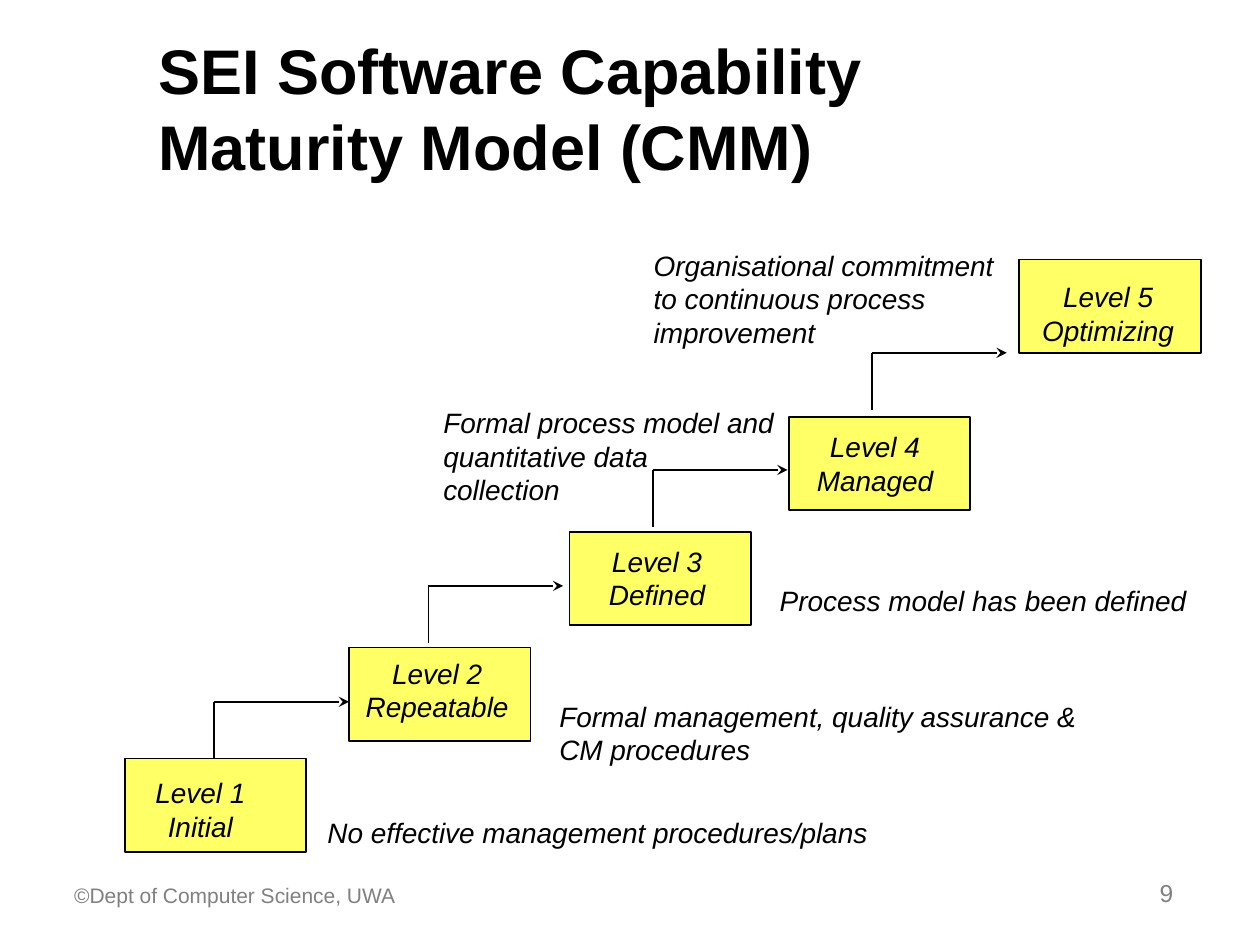
import pptx
import pptx.util
import pptx.dml.color
import pptx.enum.shapes
import pptx.enum.text
import pptx.oxml
import pptx.oxml.ns

TITLE = "SEI Software Capability Maturity Model (CMM)"
FOOT = "©Dept of Computer Science, UWA"
PAGE = "9"
# box left, box top, label (left, top, width), name
LEVELS = [
    (99, 602, (113, 611, 92), "Initial"),
    (277, 514, (280, 516, 134), "Repeatable"),
    (452, 422, (473, 427, 97), "Defined"),
    (626, 331, (638, 336, 113), "Managed"),
    (809, 206, (817, 217, 125), "Optimizing"),
]
NOTES = [
    ((250, 642, 449, 37), ["No effective management procedures/plans"]),
    ((434, 550, 431, 63), ["Formal management, quality assurance &", "CM procedures"]),
    ((609, 458, 343, 37), ["Process model has been defined"]),
    ((342, 317, 283, 90), ["Formal process model and", "quantitative data", "collection"]),
    ((509, 192, 290, 90), ["Organisational commitment", "to continuous process", "improvement"]),
]
STEPS = [(170, 602), (340, 510), (518, 418), (692, 325)]
BOX = (144, 74)
RISE, RUN = 45, 107
BLACK, GREY, YELLOW = "000000", "808080", "FFFF66"
ALIGN = pptx.enum.text.PP_ALIGN


def px(n):
    """Turn px, 100 to the inch, into EMU."""
    return pptx.util.Emu(n * 9144)


def paint(hue):
    """Make a colour from a hex string."""
    return pptx.dml.color.RGBColor.from_string(hue)


def write(slide, area, lines, size, hue=BLACK, bold=False, slant=False,
          align=ALIGN.LEFT, wrap=False):
    """Add a text box; wrapped ones sit on their bottom edge."""
    frame = slide.shapes.add_textbox(*map(px, area)).text_frame
    frame.word_wrap = wrap
    if wrap:
        frame.vertical_anchor = pptx.enum.text.MSO_ANCHOR.BOTTOM
    else:
        frame.auto_size = pptx.enum.text.MSO_AUTO_SIZE.SHAPE_TO_FIT_TEXT
    for i, line in enumerate(lines):
        para = frame.paragraphs[0] if i == 0 else frame.add_paragraph()
        para.alignment = align
        run = para.add_run()
        run.text = line
        font = run.font
        font.name, font.size = "Arial", pptx.util.Pt(size)
        font.bold, font.italic = bold, slant
        font.color.rgb = paint(hue)


def box(slide, left, top):
    """Add one level box."""
    rect = slide.shapes.add_shape(
        pptx.enum.shapes.MSO_SHAPE.RECTANGLE, *map(px, (left, top, *BOX)))
    rect.shadow.inherit = False
    rect.fill.solid()
    rect.fill.fore_color.rgb = paint(YELLOW)
    rect.line.color.rgb = paint(BLACK)
    rect.line.width = pptx.util.Pt(1)


def link(slide, ends, head=False):
    """Add a straight line, with an arrowhead if asked."""
    line = slide.shapes.add_connector(
        pptx.enum.shapes.MSO_CONNECTOR.STRAIGHT, *map(px, ends))
    line.line.color.rgb = paint(BLACK)
    line.line.width = pptx.util.Pt(1)
    props = line._element.spPr
    props.append(pptx.oxml.parse_xml(
        f'<a:effectLst {pptx.oxml.ns.nsdecls("a")}/>'))
    if head:
        line.line._get_or_add_ln().append(pptx.oxml.parse_xml(
            f'<a:tailEnd {pptx.oxml.ns.nsdecls("a")} type="stealth"/>'))


def main():
    """Build the slide and save it."""
    deck = pptx.Presentation()
    deck.slide_width, deck.slide_height = px(1000), px(750)
    slide = deck.slides.add_slide(deck.slide_layouts[6])
    write(slide, (116, 25, 778, 125), [TITLE], 36, bold=True, wrap=True)
    for left, top, _, _ in LEVELS:
        box(slide, left, top)
    for x, y in STEPS:
        link(slide, (x, y, x, y - RISE))
        link(slide, (x, y - RISE, x + RUN, y - RISE), head=True)
    for i, (_, _, spot, name) in enumerate(LEVELS, 1):
        write(slide, (*spot, 63), [f"Level {i}", name], 16,
              slant=True, align=ALIGN.CENTER)
    for area, lines in NOTES:
        write(slide, area, lines, 16, slant=True)
    write(slide, (49, 675, 300, 50), [FOOT], 12, GREY, wrap=True)
    write(slide, (733, 675, 208, 50), [PAGE], 14, GREY,
          align=ALIGN.RIGHT, wrap=True)
    deck.save("out.pptx")


if __name__ == "__main__":
    main()
